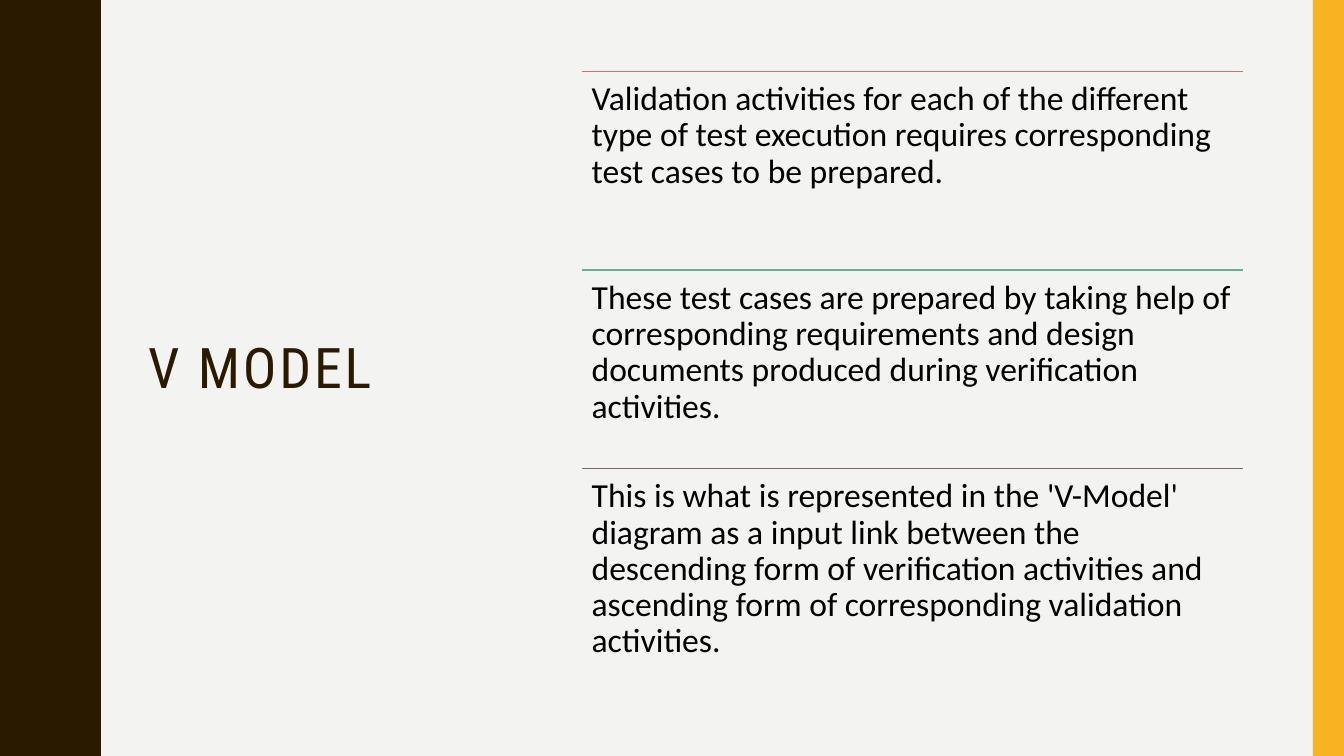
from lxml import etree
from pptx import Presentation
from pptx.dml.color import RGBColor
from pptx.enum.shapes import MSO_CONNECTOR, MSO_SHAPE
from pptx.enum.text import MSO_ANCHOR, MSO_AUTO_SIZE, PP_ALIGN
from pptx.oxml.ns import qn
from pptx.util import Inches, Pt

STRAIGHT = MSO_CONNECTOR.STRAIGHT
RECT = MSO_SHAPE.RECTANGLE
TOP, MIDDLE = MSO_ANCHOR.TOP, MSO_ANCHOR.MIDDLE
LEFT = PP_ALIGN.LEFT
NO_FIT = MSO_AUTO_SIZE.NONE

THEME = {
    "background": RGBColor.from_string("F3F3F2"),
    "dark": RGBColor.from_string("2A1A00"),
    "accent": RGBColor.from_string("F8B323"),
    "text": RGBColor.from_string("000000"),
    "rules": [RGBColor.from_string(c) for c in ("D36F68", "5FB19A", "826276")],
    "title_font": {"name": "Roboto Condensed", "size": Pt(40), "bold": False},
    "body_font": {"name": "Calibri", "size": Pt(24), "bold": False},
}

STATEMENTS = [
    "Validation activities for each of the different type of test execution "
    "requires corresponding test cases to be prepared.",
    "These test cases are prepared by taking help of corresponding requirements "
    "and design documents produced during verification activities.",
    "This is what is represented in the 'V-Model' diagram as a input link between "
    "the descending form of verification activities and ascending form of "
    "corresponding validation activities.",
]


def paint(shape, color):
    shape.shadow.inherit = False
    shape.fill.solid()
    shape.fill.fore_color.rgb = color
    shape.line.fill.background()


def write(shape, text, font, color, frame, paragraph):
    tf = shape.text_frame
    for key, value in frame.items():
        setattr(tf, key, value)
    p = tf.paragraphs[0]
    for key, value in paragraph.items():
        setattr(p, key, value)
    r = p.add_run()
    r.text = text
    for key, value in font.items():
        setattr(r.font, key, value)
    r.font.color.rgb = color
    return r


prs = Presentation()
prs.slide_width, prs.slide_height = Inches(13.33), Inches(7.5)
s = prs.slides.add_slide(prs.slide_layouts[5])
s.background.fill.solid()
s.background.fill.fore_color.rgb = THEME["background"]

period = 1.5
crest = [(0.78, 0), (0.78, 0.07), (0.79, 0.14), (0.8, 0.2), (0.81, 0.25),
         (0.83, 0.29), (0.85, 0.33), (0.87, 0.38), (0.89, 0.42), (0.91, 0.46),
         (0.93, 0.5), (0.95, 0.55), (0.96, 0.61), (0.97, 0.68), (0.97, 0.75)]
wave = crest + [(x, period - y) for x, y in reversed(crest[:-1])]
edge = [(x, y + i * period) for i in range(5) for x, y in wave]
fb = s.shapes.build_freeform(0, 0, scale=Inches(1))
fb.add_line_segments(edge + [(0, 7.5)], close=True)
paint(fb.convert_to_shape(), THEME["dark"])

bar = s.shapes.add_shape(RECT, Inches(13.02), 0, Inches(0.31), Inches(7.5))
paint(bar, THEME["accent"])

title = s.shapes.title
title.left, title.top = Inches(1.37), Inches(0.71)
title.width, title.height = Inches(3.7), Inches(5.93)
r = write(title, "V MODEL", THEME["title_font"], THEME["dark"],
          {"word_wrap": True, "auto_size": NO_FIT, "vertical_anchor": MIDDLE},
          {"alignment": LEFT, "line_spacing": 0.9, "space_after": Pt(6)})
r.font._element.set("spc", "200")

left, width, pitch = Inches(5.77), Inches(6.56), Inches(1.97)
inset = Inches(0.1)
body_frame = {"word_wrap": True, "auto_size": NO_FIT, "vertical_anchor": TOP,
              "margin_left": inset, "margin_right": inset,
              "margin_top": inset, "margin_bottom": inset}
for i, (text, color) in enumerate(zip(STATEMENTS, THEME["rules"])):
    top = Inches(0.71) + i * pitch
    rule = s.shapes.add_connector(STRAIGHT, left, top, left + width, top)
    rule.line.color.rgb = color
    rule.line.width = Pt(1)
    etree.SubElement(rule._element.spPr, qn("a:effectLst"))
    box = s.shapes.add_textbox(left, top, width, pitch)
    write(box, text, THEME["body_font"], THEME["text"], body_frame,
          {"alignment": LEFT, "line_spacing": 0.9})

prs.save("out.pptx")
